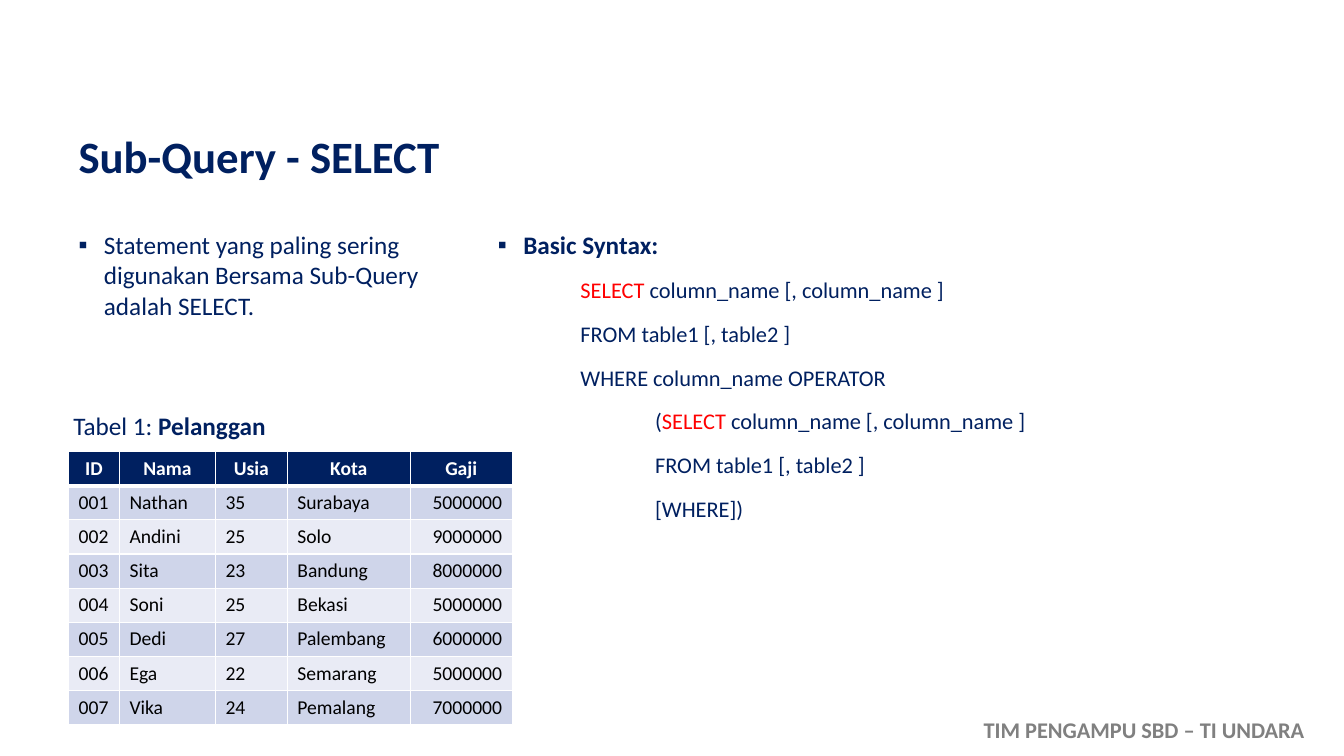
import pptx
import pptx.dml.color
import pptx.enum.text
import pptx.oxml.ns
import pptx.util
from lxml import etree

Cm, Pt = pptx.util.Cm, pptx.util.Pt
RGBColor = pptx.dml.color.RGBColor
PP_ALIGN = pptx.enum.text.PP_ALIGN
MSO_ANCHOR = pptx.enum.text.MSO_ANCHOR
qn = pptx.oxml.ns.qn

FONT = "Calibri"
NAVY = RGBColor(0x00, 0x20, 0x60)
RED = RGBColor(0xFF, 0x00, 0x00)
GRAY = RGBColor(0x80, 0x80, 0x80)
BLACK = RGBColor(0x00, 0x00, 0x00)
WHITE = RGBColor(0xFF, 0xFF, 0xFF)
BAND_DARK = RGBColor(0xCF, 0xD5, 0xEA)
BAND_LIGHT = RGBColor(0xE9, 0xEB, 0xF5)

# Content
FOOTER = "TIM PENGAMPU SBD – TI UNDARA"
TITLE = "Sub-Query - SELECT"
STATEMENT = "Statement yang paling sering digunakan Bersama Sub-Query adalah SELECT."
CAPTION, TABLE_NAME = "Tabel 1: ", "Pelanggan"
SYNTAX_HEADING = "Basic Syntax:"
KEYWORD = "SELECT "
SYNTAX_LINES = [  # nesting level, text
    (0, "SELECT column_name [, column_name ]"),
    (0, "FROM table1 [, table2 ]"),
    (0, "WHERE column_name OPERATOR"),
    (1, "(SELECT column_name [, column_name ]"),
    (1, "FROM table1 [, table2 ]"),
    (1, "[WHERE])"),
]
CUSTOMERS = [
    ("ID", "Nama", "Usia", "Kota", "Gaji"),
    ("001", "Nathan", "35", "Surabaya", "5000000"),
    ("002", "Andini", "25", "Solo", "9000000"),
    ("003", "Sita", "23", "Bandung", "8000000"),
    ("004", "Soni", "25", "Bekasi", "5000000"),
    ("005", "Dedi", "27", "Palembang", "6000000"),
    ("006", "Ega", "22", "Semarang", "5000000"),
    ("007", "Vika", "24", "Pemalang", "7000000"),
]

# Layout in centimetres
LEFT = 1.73
BODY_TOP = 5.66
COLUMN_WIDTHS = (1.28, 2.42, 1.81, 3.1, 2.57)
ROW_HEIGHT = 0.86
BULLET_INDENT = 0.64
SYNTAX_INDENTS = (2.08, 3.96)


def add_text_frame(slide, left, top, width, height, wrap=True):
    box = slide.shapes.add_textbox(Cm(left), Cm(top), Cm(width), Cm(height))
    box.text_frame.word_wrap = wrap
    return box.text_frame


def style_font(paragraph, size, color, bold=False):
    font = paragraph.font
    font.name, font.size, font.bold = FONT, Pt(size), bold
    font.color.rgb = color


def indent(paragraph, left, bullet=False):
    paragraph.space_before = Pt(12)
    properties = paragraph._p.get_or_add_pPr()
    properties.set("marL", str(Cm(left)))
    properties.set("indent", str(-Cm(left) if bullet else 0))
    if bullet:
        etree.SubElement(properties, qn("a:buFont")).set("typeface", FONT)
        etree.SubElement(properties, qn("a:buChar")).set("char", "▪")


def set_borders(cell, top, bottom):
    properties = cell._tc.get_or_add_tcPr()
    widths = {"a:lnL": 1, "a:lnR": 1, "a:lnT": top, "a:lnB": bottom}
    for position, (tag, width) in enumerate(widths.items()):
        line = etree.Element(qn(tag), w=str(Pt(width)))
        fill = etree.SubElement(line, qn("a:solidFill"))
        etree.SubElement(fill, qn("a:srgbClr")).set("val", str(WHITE))
        properties.insert(position, line)


def add_customer_table(slide):
    frame = slide.shapes.add_table(
        len(CUSTOMERS), len(COLUMN_WIDTHS), Cm(LEFT), Cm(11.38),
        Cm(sum(COLUMN_WIDTHS)), Cm(ROW_HEIGHT * len(CUSTOMERS)))
    table = frame.table
    for column, width in zip(table.columns, COLUMN_WIDTHS):
        column.width = Cm(width)
    for row_index, record in enumerate(CUSTOMERS):
        table.rows[row_index].height = Cm(ROW_HEIGHT)
        header = row_index == 0
        band = BAND_DARK if row_index % 2 else BAND_LIGHT
        for column_index, value in enumerate(record):
            cell = table.cell(row_index, column_index)
            cell.text = value
            cell.fill.solid()
            cell.fill.fore_color.rgb = NAVY if header else band
            set_borders(cell, top=3 if row_index == 1 else 1, bottom=3 if header else 1)
            paragraph = cell.text_frame.paragraphs[0]
            style_font(paragraph, 14, WHITE if header else BLACK, bold=header)
            if header:
                paragraph.alignment = PP_ALIGN.CENTER
            elif column_index == len(record) - 1:
                paragraph.alignment = PP_ALIGN.RIGHT


def add_syntax(slide):
    frame = add_text_frame(slide, 12.3, BODY_TOP, 20.29, 13.39)
    heading = frame.paragraphs[0]
    heading.text = SYNTAX_HEADING
    indent(heading, BULLET_INDENT, bullet=True)
    style_font(heading, 18, NAVY, bold=True)
    for level, text in SYNTAX_LINES:
        paragraph = frame.add_paragraph()
        indent(paragraph, SYNTAX_INDENTS[level])
        style_font(paragraph, 16, NAVY)
        for part in text.partition(KEYWORD):
            if part:
                run = paragraph.add_run()
                run.text = part
                run.font.color.rgb = RED if part == KEYWORD else NAVY


def main():
    presentation = pptx.Presentation()
    presentation.slide_width, presentation.slide_height = Cm(33.87), Cm(19.05)
    slide = presentation.slides.add_slide(presentation.slide_layouts[6])

    # Footer
    footer = add_text_frame(slide, 24.54, 17.91, 9.2, 0.94).paragraphs[0]
    footer.text = FOOTER
    style_font(footer, 16, GRAY, bold=True)

    # Title
    title_frame = add_text_frame(slide, LEFT, 2.87, 29.64, 2.26)
    title_frame.vertical_anchor = MSO_ANCHOR.MIDDLE
    title = title_frame.paragraphs[0]
    title.text = TITLE
    title.line_spacing = 0.9
    style_font(title, 32, NAVY, bold=True)

    # Statement
    statement = add_text_frame(slide, LEFT, BODY_TOP, 9.68, 5.59).paragraphs[0]
    statement.text = STATEMENT
    indent(statement, BULLET_INDENT, bullet=True)
    style_font(statement, 18, NAVY)

    # Customer table with caption
    add_customer_table(slide)
    caption = add_text_frame(slide, 1.6, 10.21, 5.41, 1.02, wrap=False).paragraphs[0]
    style_font(caption, 18, NAVY)
    caption.add_run().text = CAPTION
    table_name = caption.add_run()
    table_name.text = TABLE_NAME
    table_name.font.bold = True

    # Syntax
    add_syntax(slide)

    presentation.save("out.pptx")


if __name__ == "__main__":
    main()
